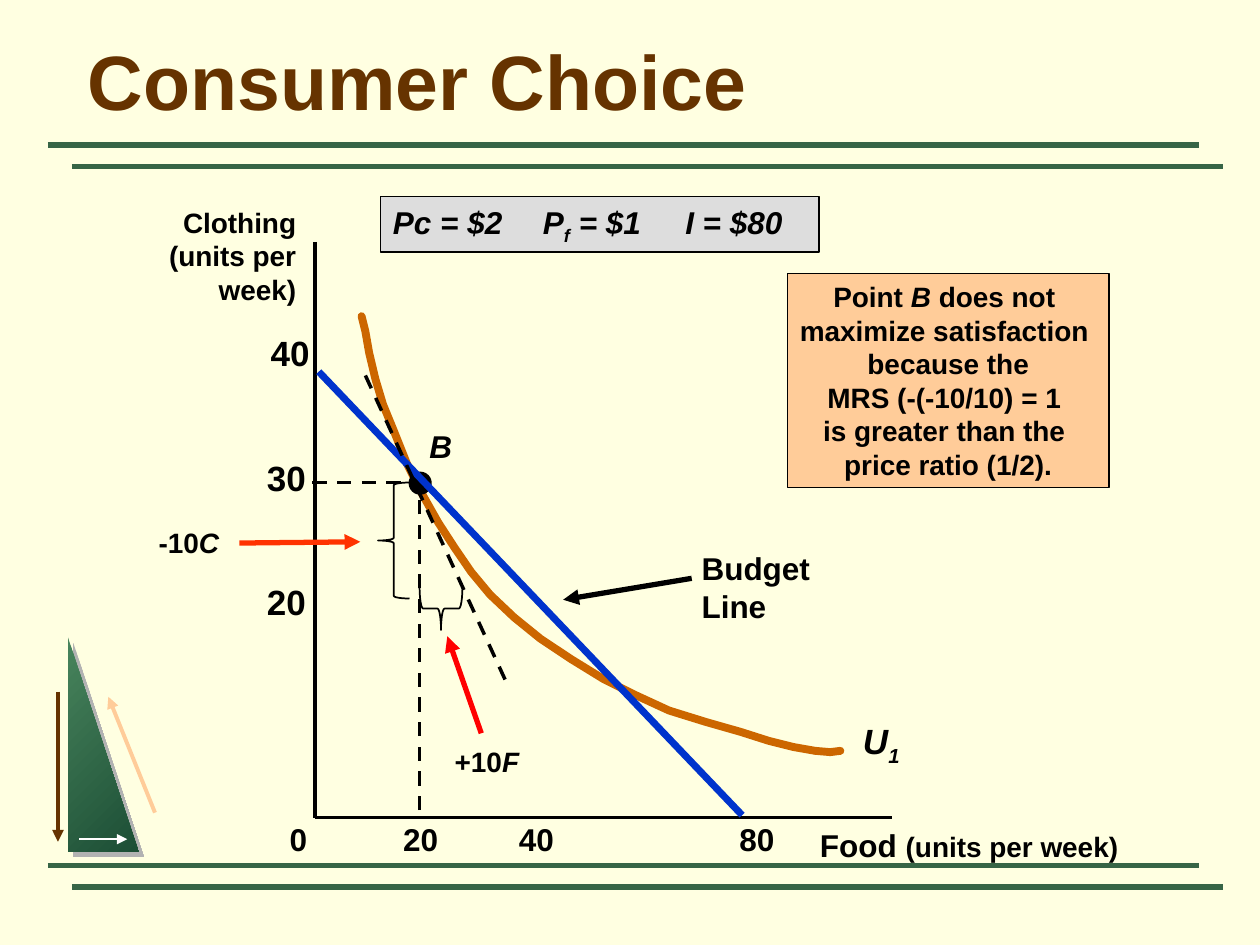
from lxml import etree
from pptx import Presentation
from pptx.dml.color import RGBColor
from pptx.enum.dml import MSO_LINE_DASH_STYLE as DASH
from pptx.enum.shapes import MSO_CONNECTOR as CONN, MSO_SHAPE as SHAPE
from pptx.enum.text import MSO_ANCHOR as ANCHOR, PP_ALIGN as ALIGN
from pptx.oxml.ns import qn
from pptx.util import Inches, Pt

BLACK = "000000"
GREEN = "376546"
BROWN = "663300"
PEACH = "FFCC99"

# Utility curve, as offsets from its upper end
CURVE = [(0, 0), (.03, .12), (.06, .29), (.11, .5), (.17, .7), (.26, .92),
         (.36, 1.17), (.48, 1.41), (.61, 1.64), (.74, 1.84), (.87, 2.03),
         (1.02, 2.21), (1.21, 2.39), (1.42, 2.56), (1.66, 2.72), (1.92, 2.88),
         (2.18, 3.01), (2.44, 3.13), (2.73, 3.22), (3.01, 3.3), (3.23, 3.37),
         (3.43, 3.42), (3.6, 3.45), (3.72, 3.46), (3.8, 3.45)]


def rgb(color):
    return RGBColor.from_string(color)


def add_line(slide, x1, y1, x2, y2, color=BLACK, width=2, dash=False, arrow=False):
    ln = slide.shapes.add_connector(CONN.STRAIGHT, Inches(x1), Inches(y1),
                                    Inches(x2), Inches(y2))
    ln.line.color.rgb = rgb(color)
    ln.line.width = Pt(width)
    if dash:
        ln.line.dash_style = DASH.DASH
    if arrow:
        etree.SubElement(ln.line._get_or_add_ln(), qn("a:tailEnd"), type="triangle")
    etree.SubElement(ln._element.spPr, qn("a:effectLst"))
    return ln


def add_shape(slide, kind, x, y, w, h, fill=None, line=BLACK):
    sp = slide.shapes.add_shape(kind, Inches(x), Inches(y), Inches(w), Inches(h))
    sp.shadow.inherit = False
    if fill:
        sp.fill.solid()
        sp.fill.fore_color.rgb = rgb(fill)
    else:
        sp.fill.background()
    if line:
        sp.line.color.rgb = rgb(line)
        sp.line.width = Pt(1)
    else:
        sp.line.fill.background()
    return sp


def write(sp, *paras, size=16, color=BLACK, align=ALIGN.LEFT, italic=False,
          anchor=ANCHOR.TOP, wrap=False, tabs=()):
    """Each paragraph is a string or a list of strings and (string, format) pairs."""
    tf = sp.text_frame
    tf.word_wrap = wrap
    tf.vertical_anchor = anchor
    for i, para in enumerate(paras):
        p = tf.paragraphs[0] if i == 0 else tf.add_paragraph()
        p.alignment = align
        if tabs:
            stops = etree.SubElement(p._p.get_or_add_pPr(), qn("a:tabLst"))
            for pos in tabs:
                etree.SubElement(stops, qn("a:tab"), pos=str(Inches(pos)), algn="l")
        for part in [para] if isinstance(para, str) else para:
            text, fmt = (part, {}) if isinstance(part, str) else part
            r = p.add_run()
            r.text = text
            r.font.name = "Arial"
            r.font.bold = True
            r.font.size = Pt(fmt.get("size", size))
            r.font.italic = fmt.get("italic", italic)
            r.font.color.rgb = rgb(color)
            if fmt.get("sub"):
                r.font._element.set("baseline", "-25000")


def add_text(slide, x, y, w, h, *paras, **fmt):
    tb = slide.shapes.add_textbox(Inches(x), Inches(y), Inches(w), Inches(h))
    write(tb, *paras, **fmt)
    return tb


def draw_double_rule(slide, x, y):
    for dx, dy in ((0, 0), (0.19, 0.17)):
        add_line(slide, x + dx, y + dy, x + dx + 9.14, y + dy, GREEN, 3)


def draw_emblem(slide, x, y):
    """Shaded triangle with three arrows."""
    tri = add_shape(slide, SHAPE.RIGHT_TRIANGLE, x, y, 0.56, 1.7, line=None)
    tri.fill.gradient()
    tri.fill.gradient_angle = 315
    for stop, pos, color in zip(tri.fill.gradient_stops, (0, 1), ("48845C", "1C4E35")):
        stop.position = pos
        stop.color.rgb = rgb(color)
    effects = tri._element.spPr.find(qn("a:effectLst"))
    shadow = etree.SubElement(effects, qn("a:outerShdw"), dist=str(Pt(4.2)),
                              dir="2700000", algn="ctr", rotWithShape="0")
    etree.SubElement(shadow, qn("a:srgbClr"), val="B2B2B2")
    add_line(slide, x - 0.08, y + 0.43, x - 0.08, y + 1.62, BROWN, 2.25, arrow=True)
    add_line(slide, x + 0.69, y + 1.39, x + 0.32, y + 0.47, PEACH, 2.25, arrow=True)
    add_line(slide, x + 0.09, y + 1.6, x + 0.47, y + 1.6, "FFFFFF", 1.5, arrow=True)


def draw_axes(slide, x, y):
    """Axes, titles and scale; x, y is the zero point."""
    add_line(slide, x, y - 4.57, x, y)
    add_line(slide, x, y, x + 4.58, y)
    add_text(slide, x + 3.91, y + 0.02, 2.57, 0.4,
             ["Food ", ("(units per week)", {"size": 16})], size=18)
    add_text(slide, x - 1.26, y - 4.91, 1.21, 0.9,
             "Clothing", "(units per", "week)", align=ALIGN.RIGHT)
    for label, dx, w in (("0", -0.3, 0.34), ("20", 0.6, 0.48),
                         ("40", 1.52, 0.48), ("80", 3.27, 0.48)):
        add_text(slide, x + dx, y - 0.03, w, 0.4, label, size=18)
    for i, (label, dx) in enumerate((("20", -0.48), ("30", -0.48), ("40", -0.45))):
        add_text(slide, x + dx, y - 1.93 - 0.99 * i, 0.51, 0.43, label, size=20)


def draw_utility_curve(slide, x, y):
    pts = [(Inches(x + dx), Inches(y + dy)) for dx, dy in CURVE]
    builder = slide.shapes.build_freeform(*pts[0])
    builder.add_line_segments(pts[1:], close=False)
    sp = builder.convert_to_shape()
    sp.shadow.inherit = False
    sp.fill.background()
    sp.line.color.rgb = rgb("CC6600")
    sp.line.width = Pt(4.5)
    sp.line._get_or_add_ln().set("cap", "rnd")
    add_text(slide, x + 3.88, y + 3.15, 0.49, 0.48, ["U", ("1", {"sub": True})],
             size=20, italic=True)


def draw_point_b(slide, x, y):
    """Point B with its guides to both axes; x, y is the point."""
    add_line(slide, x - 0.85, y, x - 0.05, y, dash=True)
    add_shape(slide, SHAPE.OVAL, x - 0.08, y - 0.08, 0.17, 0.17, BLACK)
    add_line(slide, x, y + 2.6, x, y - 0.05, dash=True)
    add_text(slide, x - 0.02, y - 0.49, 0.38, 0.4, "B", size=18, italic=True)


def draw_budget_line(slide, x, y):
    add_line(slide, x, y, x + 3.36, y + 3.52, "0033CC", 4)
    add_text(slide, x + 2.94, y + 1.36, 1.64, 0.4, "Budget Line", size=18)
    add_line(slide, x + 2.96, y + 1.64, x + 1.94, y + 1.81, width=3, arrow=True)


def draw_prices(slide, x, y, w, h):
    sp = add_shape(slide, SHAPE.RECTANGLE, x, y, w, h, "DDDDDD")
    write(sp, ["Pc = $2\tP", ("f", {"sub": True}), " = $1\tI = $80"],
          size=18, italic=True, wrap=True, tabs=(1.19, 2.32))


def draw_note(slide, x, y, w, h):
    sp = add_shape(slide, SHAPE.RECTANGLE, x, y, w, h, PEACH)
    write(sp, ["Point ", ("B", {"italic": True}), " does not "],
          "maximize satisfaction ", "because the", "MRS (-(-10/10) = 1 ",
          "is greater than the ", "price ratio (1/2).", align=ALIGN.CENTER)


def draw_trade_off(slide, x, y):
    """Braces, arrows and tangent for the exchange at point x, y."""
    add_shape(slide, SHAPE.LEFT_BRACE, x - 0.33, y, 0.25, 0.92)
    add_text(slide, x - 2.17, y + 0.29, 0.68, 0.36, ["-10", ("C", {"italic": True})])
    below = add_shape(slide, SHAPE.RIGHT_BRACE, x, y + 0.83, 0.34, 0.34)
    below.rotation = 90
    add_text(slide, x + 0.18, y + 2.03, 0.71, 0.36, ["+10", ("F", {"italic": True})])
    add_line(slide, x + 0.49, y + 1.99, x + 0.22, y + 1.22, "FF0000", 3, arrow=True)
    add_line(slide, x - 0.43, y - 0.85, x + 0.7, y + 1.61, dash=True)
    add_line(slide, x - 1.43, y + 0.48, x - 0.47, y + 0.47, "FF3300", 3, arrow=True)


def main():
    prs = Presentation()
    prs.slide_width, prs.slide_height = Inches(10), Inches(7.5)
    slide = prs.slides.add_slide(prs.slide_layouts[6])
    slide.background.fill.solid()
    slide.background.fill.fore_color.rgb = rgb("FFFFE1")

    # Frame and title
    for y in (1.15, 6.87):
        draw_double_rule(slide, 0.38, y)
    draw_emblem(slide, 0.54, 5.06)
    add_text(slide, 0.6, 0.21, 8.73, 0.85, "Consumer Choice", size=44,
             color=BROWN, anchor=ANCHOR.MIDDLE, wrap=True)

    # Diagram
    draw_axes(slide, 2.5, 6.49)
    draw_utility_curve(slide, 2.87, 2.51)
    draw_point_b(slide, 3.33, 3.83)
    draw_budget_line(slide, 2.53, 2.95)
    draw_prices(slide, 3.02, 1.56, 3.48, 0.44)
    draw_note(slide, 6.25, 2.17, 2.55, 1.7)
    draw_trade_off(slide, 3.33, 3.83)

    prs.save("out.pptx")


if __name__ == "__main__":
    main()
